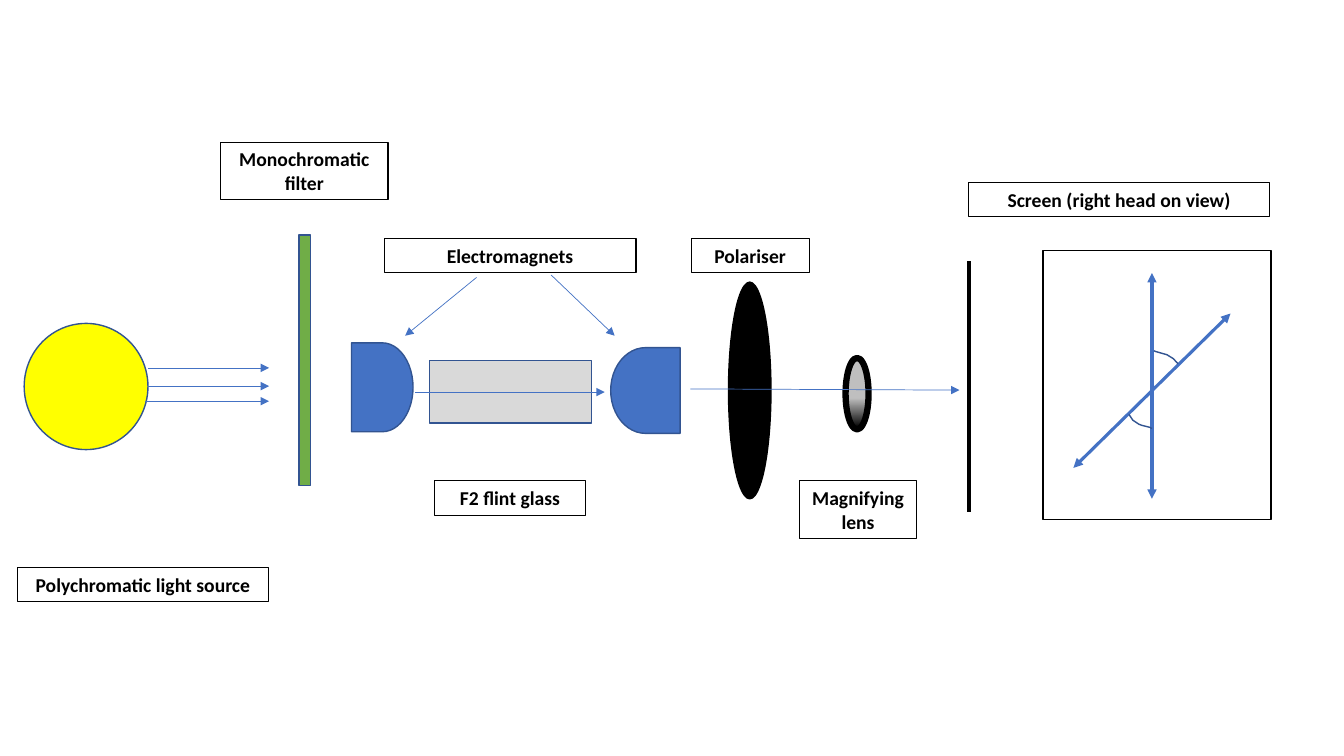
"""Build a slide showing an optical bench for measuring the Faraday effect."""
from copy import deepcopy
from dataclasses import dataclass

from lxml import etree
from pptx import Presentation
from pptx.dml.color import RGBColor
from pptx.enum import dml, shapes, text
from pptx.oxml import ns
from pptx.util import Cm, Pt


@dataclass(frozen=True)
class Theme:
    black: str = "000000"
    white: str = "FFFFFF"
    blue: str = "4472C4"
    outline: str = "325491"
    yellow: str = "FFFF00"
    green: str = "70AD47"
    grey: str = "D9D9D9"
    lens: tuple = ((0.56, "BFBFBF"), (0.98, "000000"), (1, "ABC0E4"), (1, "C7D5ED"))
    font: str = "Calibri"
    label_size: int = 14


theme = Theme()
kinds = shapes.MSO_SHAPE
rgb = RGBColor.from_string


def draw_part(kind, bounds, fill, line, width):
    part = page.shapes.add_shape(kind, *map(Cm, bounds))
    part.shadow.inherit = False
    if fill:
        part.fill.solid()
        part.fill.fore_color.rgb = rgb(fill)
    else:
        part.fill.background()
    part.line.color.rgb = rgb(line)
    part.line.width = Pt(width)
    return part


def draw_line(start, end, color, width, heads=()):
    line = page.shapes.add_connector(
        shapes.MSO_CONNECTOR.STRAIGHT, *map(Cm, start + end))
    line.line.color.rgb = rgb(color)
    line.line.width = Pt(width)
    for head in heads:
        etree.SubElement(line.line._get_or_add_ln(), ns.qn(f"a:{head}"), type="triangle")
    etree.SubElement(line._element.spPr, ns.qn("a:effectLst"))


deck = Presentation()
deck.slide_width, deck.slide_height = Cm(33.87), Cm(19.05)
page = deck.slides.add_slide(deck.slide_layouts[6])

draw_part(kinds.FLOWCHART_CONNECTOR, (0.61, 8.15, 3.12, 3.18), theme.yellow, theme.outline, 1)
draw_part(kinds.RECTANGLE, (7.54, 5.92, 0.28, 6.32), theme.green, theme.outline, 1)
draw_part(kinds.RECTANGLE, (10.82, 9.09, 4.09, 1.57), theme.grey, theme.outline, 1)
draw_part(kinds.FLOWCHART_DELAY, (8.86, 8.64, 1.55, 2.24), theme.blue, theme.outline, 1)
right_magnet = draw_part(
    kinds.FLOWCHART_DELAY, (15.39, 8.76, 1.75, 2.16), theme.blue, theme.outline, 1)
right_magnet.rotation = 180
draw_part(kinds.RECTANGLE, (26.29, 6.32, 5.74, 6.78), None, theme.black, 1)

polariser = draw_part(
    kinds.FLOWCHART_CONNECTOR, (18.36, 7.11, 1.07, 5.46), theme.black, theme.black, 1)
polariser.fill.patterned()
polariser.fill.pattern = dml.MSO_PATTERN.DARK_VERTICAL
polariser.fill.fore_color.rgb = rgb(theme.black)
polariser.fill.back_color.rgb = rgb(theme.white)

lens = draw_part(
    kinds.FLOWCHART_CONNECTOR, (21.31, 9.02, 0.58, 1.8), theme.grey, theme.black, 4.5)
lens.fill.gradient()
lens.fill.gradient_angle = 270
stop_list = lens._element.spPr.find(".//" + ns.qn("a:gsLst"))
for _ in range(len(theme.lens) - len(stop_list)):
    stop_list.append(deepcopy(stop_list[0]))
for stop, (position, color) in zip(lens.fill.gradient_stops, theme.lens):
    stop.position = position
    stop.color.rgb = rgb(color)

draw_line((24.41, 6.58), (24.41, 12.9), theme.black, 3)

thin_arrows = [
    ((3.73, 9.27), (6.78, 9.27)),
    ((3.73, 9.73), (6.78, 9.73)),
    ((3.66, 10.11), (6.78, 10.11)),
    ((10.46, 9.88), (15.24, 9.88)),
    ((17.4, 9.8), (24.18, 9.83)),
    ((12.01, 6.99), (10.21, 8.46)),
    ((13.89, 6.93), (15.49, 8.46)),
]
for start, end in thin_arrows:
    draw_line(start, end, theme.blue, 0.5, ["tailEnd"])

polarisation_axes = [((29.03, 6.88), (29.03, 12.57)), ((31.01, 7.9), (27.05, 11.79))]
for start, end in polarisation_axes:
    draw_line(start, end, theme.blue, 2.25, ["headEnd", "tailEnd"])

angle_arcs = [
    [(28.45, 10.44), (28.55, 10.59), (28.7, 10.69), (28.78, 10.72), (28.98, 10.77), (29.03, 10.8)],
    [(29.69, 9.17), (29.57, 9.04), (29.41, 8.94), (29.34, 8.92), (29.13, 8.86), (29.08, 8.84)],
]
for points in angle_arcs:
    first, *rest = [(Cm(x), Cm(y)) for x, y in points]
    builder = page.shapes.build_freeform(*first)
    builder.add_line_segments(rest, close=False)
    arc = builder.convert_to_shape()
    arc.shadow.inherit = False
    arc.fill.background()
    arc.line.color.rgb = rgb(theme.outline)
    arc.line.width = Pt(1)

labels = [
    ("Polychromatic light source", (0.43, 14.3, 6.35, 0.86)),
    ("Monochromatic filter", (5.56, 3.58, 4.22, 1.45)),
    ("Electromagnets", (9.68, 6.02, 6.35, 0.86)),
    ("F2 flint glass", (10.95, 12.12, 3.81, 0.86)),
    ("Polariser", (17.42, 6.02, 2.97, 0.86)),
    ("Magnifying lens", (20.14, 12.12, 2.97, 1.45)),
    ("Screen (right head on view)", (24.41, 4.6, 7.59, 0.86)),
]
label_font = {"name": theme.font, "size": Pt(theme.label_size), "bold": True}
for caption, bounds in labels:
    box = page.shapes.add_textbox(*map(Cm, bounds))
    box.line.color.rgb = rgb(theme.black)
    box.line.width = Pt(0.75)
    box.text_frame.word_wrap = True
    box.text_frame.auto_size = text.MSO_AUTO_SIZE.SHAPE_TO_FIT_TEXT
    para = box.text_frame.paragraphs[0]
    para.alignment = text.PP_ALIGN.CENTER
    span = para.add_run()
    span.text = caption
    for name, value in label_font.items():
        setattr(span.font, name, value)
    span.font.color.rgb = rgb(theme.black)

deck.save("out.pptx")
